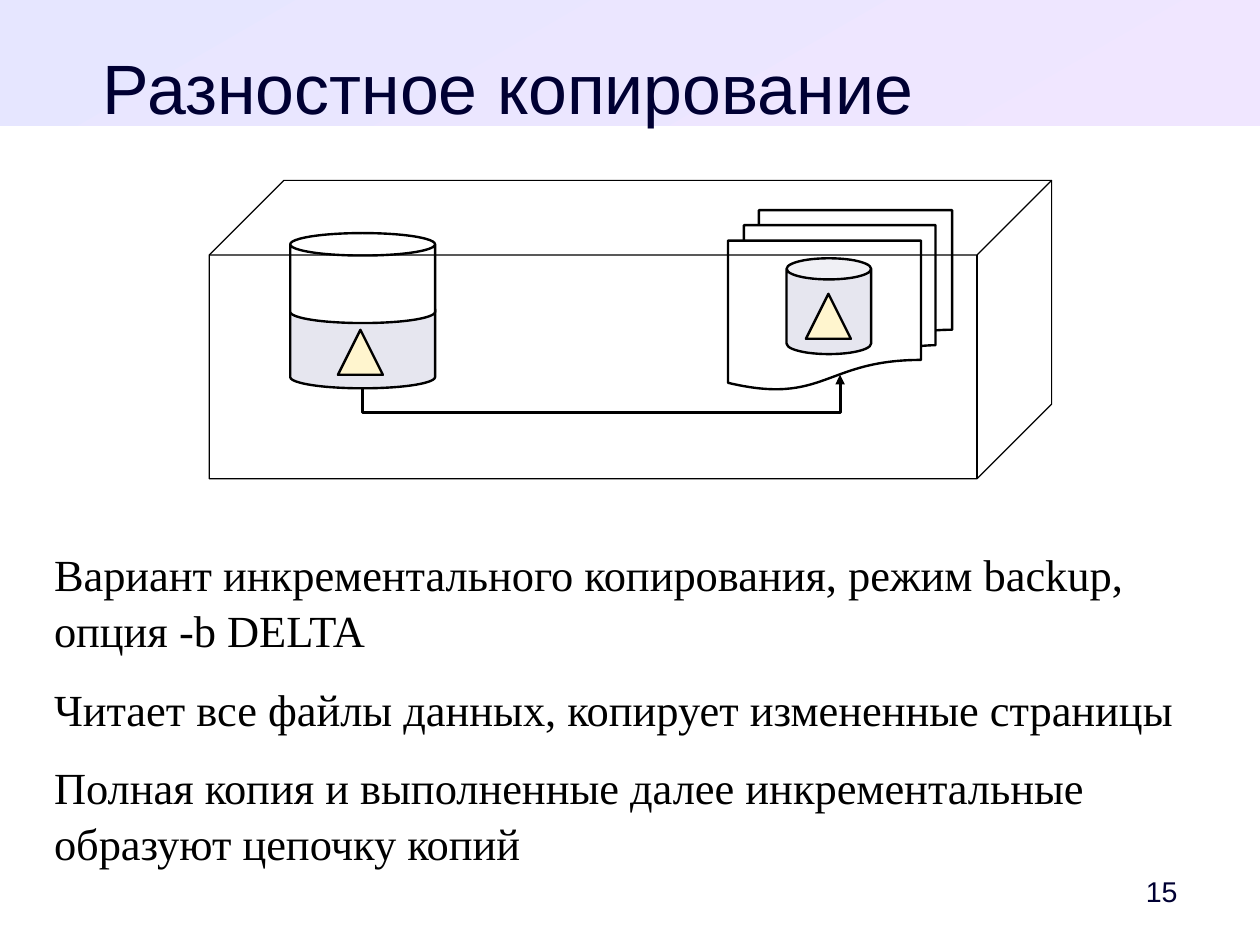
from lxml.etree import SubElement
from pptx import Presentation
from pptx.dml.color import RGBColor
from pptx.enum.shapes import MSO_CONNECTOR as Link, MSO_SHAPE as Kind
from pptx.enum.text import MSO_ANCHOR as Anchor, MSO_AUTO_SIZE as Fit, PP_ALIGN as Align
from pptx.oxml.ns import qn
from pptx.util import Cm, Pt

WHITE = RGBColor(0xFF, 0xFF, 0xFF)
BLACK = RGBColor(0, 0, 0)
NAVY = RGBColor(0, 0, 0x33)
GREY = RGBColor(0xE6, 0xE6, 0xEF)
CREAM = RGBColor(0xFF, 0xF5, 0xCE)
BLUE = RGBColor(0xE6, 0xE6, 0xFF)
PINK = RGBColor(0xF0, 0xE6, 0xFF)


class Board:
    sans = "Arial"
    serif = "Times New Roman"

    def __init__(self, slide):
        self.slide = slide
        self.shapes = slide.shapes

    def place(self, shape, left, top, width, height):
        shape.left, shape.top = Cm(left), Cm(top)
        shape.width, shape.height = Cm(width), Cm(height)

    def label(self, shape, lines, face, size, color, align, anchor=Anchor.TOP):
        frame = shape.text_frame
        frame.text = "\n".join(lines)
        frame.word_wrap = True
        frame.auto_size = Fit.NONE
        frame.vertical_anchor = anchor
        frame.margin_left = frame.margin_right = 0
        frame.margin_top = frame.margin_bottom = 0
        for para in frame.paragraphs:
            para.alignment = align
            para.space_before = Pt(0)
            for run in para.runs:
                run.font.name = face
                run.font.size = Pt(size)
                run.font.color.rgb = color
        return frame

    def title(self, text, box):
        shape = self.shapes.title
        self.place(shape, *box)
        self.label(shape, [text], self.sans, 44, NAVY, Align.CENTER)

    def body(self, lines, box):
        shape = self.slide.placeholders[1]
        self.place(shape, *box)
        frame = self.label(shape, lines, self.serif, 28, BLACK, Align.LEFT)
        for para in frame.paragraphs:
            para.line_spacing = 1.05
            para.space_after = Pt(14.2)
            props = para._p.get_or_add_pPr()
            props.set("marL", "0")
            props.set("indent", "0")
            SubElement(props, qn("a:buNone"))

    def number(self, text, box):
        shape = self.shapes.add_textbox(*map(Cm, box))
        self.label(shape, [text], self.sans, 18, NAVY, Align.RIGHT, Anchor.MIDDLE)

    def banner(self, box):
        shape = self.shapes.add_shape(Kind.RECTANGLE, *map(Cm, box))
        shape.shadow.inherit = False
        shape.line.fill.background()
        shape.fill.gradient()
        shape.fill.gradient_angle = 300
        for stop, color, spot in zip(shape.fill.gradient_stops, (BLUE, PINK), (0, 1)):
            stop.color.rgb = color
            stop.position = spot
        self.shapes._spTree.insert(2, shape._element)

    def shape(self, kind, box, fill=None, line=1.5):
        shape = self.shapes.add_shape(kind, *map(Cm, box))
        shape.shadow.inherit = False
        if fill is None:
            shape.fill.background()
        else:
            shape.fill.solid()
            shape.fill.fore_color.rgb = fill
        shape.line.color.rgb = BLACK
        shape.line.width = Pt(line)

    def arrow(self, start, end, bend):
        (x1, y1), (x2, y2) = start, end
        midx, midy = (x1 + x2) / 2, (y1 + y2) / 2
        halfw, halfh = (y1 - y2) / 2, (x2 - x1) / 2
        link = self.shapes.add_connector(
            Link.ELBOW, Cm(midx + halfw), Cm(midy + halfh), Cm(midx - halfw), Cm(midy - halfh))
        link.line.color.rgb = BLACK
        link.line.width = Pt(0)
        props = link._element.spPr
        props.find(qn("a:xfrm")).set("rot", "5400000")
        guides = props.find(qn("a:prstGeom")).get_or_add_avLst()
        ratio = round((y1 - bend) / (y1 - y2) * 100000)
        SubElement(guides, qn("a:gd"), name="adj1", fmla=f"val {ratio}")
        SubElement(link.line._get_or_add_ln(), qn("a:tailEnd"), type="triangle")
        SubElement(props, qn("a:effectLst"))


def main():
    deck = Presentation()
    deck.slide_width, deck.slide_height = Cm(28), Cm(21)
    board = Board(deck.slides.add_slide(deck.slide_layouts[1]))

    board.banner((0, 0, 28, 2.8))
    board.title("Разностное копирование", (1.4, 1, 19.8, 1.73))
    board.body([
        "Вариант инкрементального копирования, режим backup, опция -b DELTA",
        "Читает все файлы данных, копирует измененные страницы",
        "Полная копия и выполненные далее инкрементальные образуют цепочку копий",
    ], (1.2, 12.1, 25.6, 6.86))
    board.number("15", (24.6, 19.2, 1.57, 1.2))

    board.shape(Kind.FLOWCHART_MULTIDOCUMENT, (16.18, 4.67, 4.98, 3.99), WHITE)
    for top, fill in ((6.63, GREY), (5.18, WHITE)):
        board.shape(Kind.CAN, (6.45, top, 3.22, 2), fill)
    board.shape(Kind.CUBE, (4.65, 4.01, 18.72, 6.63), line=0)
    board.arrow((8.06, 8.63), (18.67, 8.33), 9.16)
    board.shape(Kind.CAN, (17.48, 5.74, 1.88, 2.13), GREY)
    for left, top in ((7.51, 7.33), (17.91, 6.53)):
        board.shape(Kind.ISOSCELES_TRIANGLE, (left, top, 1, 1), CREAM)

    deck.save("out.pptx")


if __name__ == "__main__":
    main()
